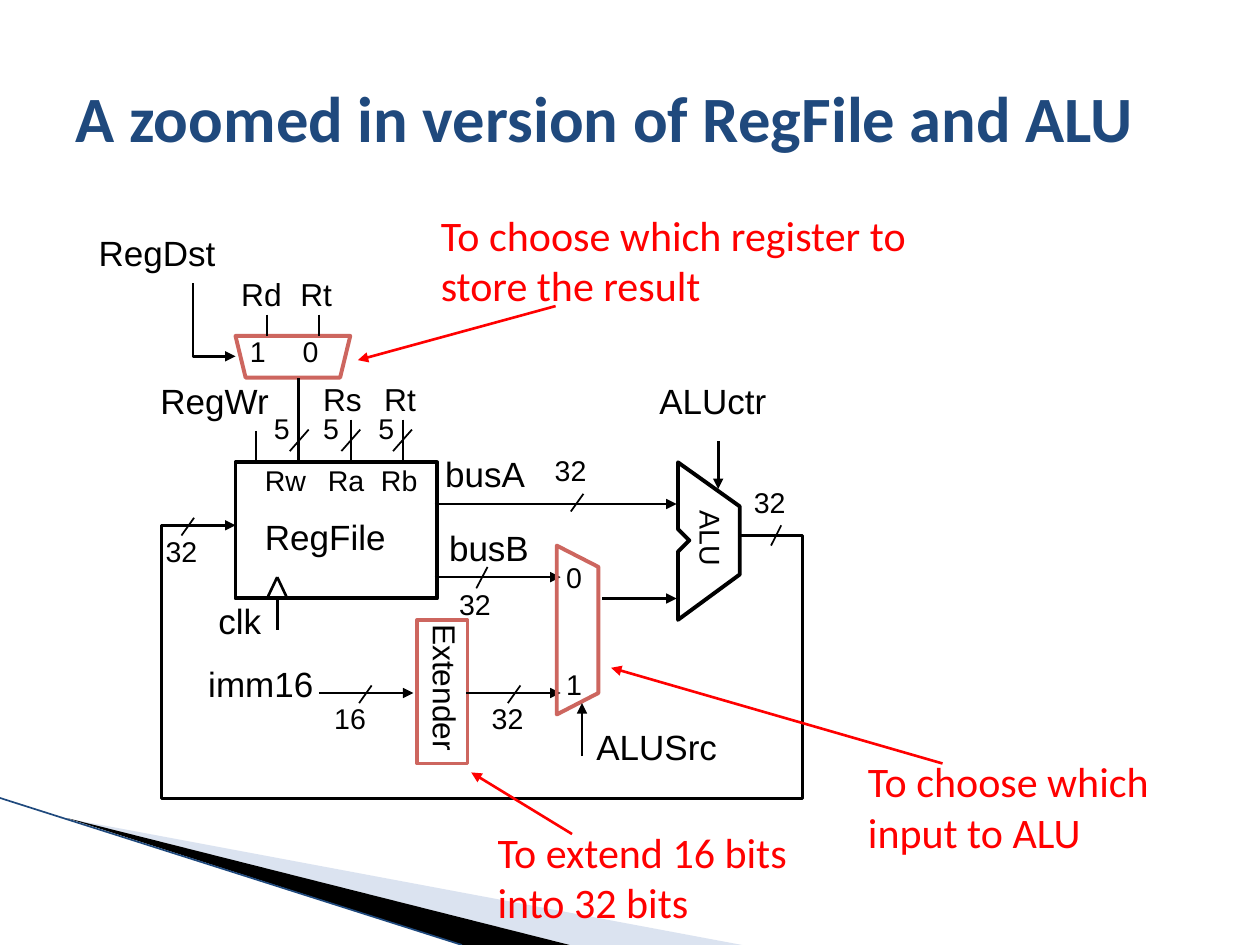
from lxml.etree import SubElement
from pptx import Presentation
from pptx.dml.color import RGBColor as RGB
from pptx.enum.shapes import MSO_CONNECTOR as Link, MSO_SHAPE as Kind
from pptx.enum.text import MSO_ANCHOR as Anchor, MSO_AUTO_SIZE as Fit, PP_ALIGN as Align
from pptx.oxml.ns import qn
from pptx.util import Pt

BLACK = RGB(0x00, 0x00, 0x00)
RED = RGB(0xFF, 0x00, 0x00)
ROSE = RGB(0xCD, 0x66, 0x5F)
NAVY = RGB(0x1F, 0x49, 0x7D)
PALE = RGB(0xA7, 0xB9, 0xDB)
BIG, MID, TINY = 20, 18.1, 16.3
TALL = {BIG: 28.1, MID: 25.9, TINY: 23.8}
THIN, WIRE, BOLD = 1, 1.5, 2.25
SLACK = 1


def add_head(line):
    SubElement(line._get_or_add_ln(), qn("a:tailEnd"), type="triangle")


def add_run(para, text, size, color, font):
    run = para.add_run()
    run.text = text
    run.font.size = Pt(size)
    run.font.name = font
    run.font.color.rgb = color
    return run


class Pad:
    def __init__(self, slide, box):
        self.shapes = slide.shapes
        self.x, self.y, self.w, self.h = box

    def place(self, x, y):
        return Pt(self.x + x), Pt(self.y + y)

    def label(self, text, x, y, wide, size=TINY, turn=0, align=Align.LEFT):
        spot = self.place(x - SLACK / 2, y)
        box = self.shapes.add_textbox(*spot, Pt(wide + SLACK), Pt(TALL[size]))
        box.rotation = turn
        frame = box.text_frame
        frame.word_wrap = False
        frame.auto_size = Fit.SHAPE_TO_FIT_TEXT
        frame.margin_left = frame.margin_right = Pt(2.9)
        frame.margin_top = frame.margin_bottom = Pt(2.9)
        para = frame.paragraphs[0]
        para.alignment = align
        para.line_spacing = 0.93
        add_run(para, text, size, BLACK, "Arial")

    def wire(self, start, end, width=WIRE, color=BLACK, head=False):
        link = self.shapes.add_connector(
            Link.STRAIGHT, *self.place(*start), *self.place(*end))
        link.line.color.rgb = color
        link.line.width = Pt(width)
        if head:
            add_head(link.line)
        SubElement(link._element.spPr, qn("a:effectLst"))

    def arrow(self, start, end, color=BLACK):
        self.wire(start, end, color=color, head=True)

    def ink(self, shape, color, width):
        shape.shadow.inherit = False
        shape.fill.background()
        shape.line.color.rgb = color
        shape.line.width = Pt(width)

    def trace(self, points, close):
        first, *rest = [self.place(*point) for point in points]
        pen = self.shapes.build_freeform(*first)
        pen.add_line_segments(rest, close=close)
        return pen.convert_to_shape()

    def outline(self, points, color=BLACK):
        self.ink(self.trace(points, True), color, BOLD)

    def route(self, points):
        shape = self.trace(points, False)
        self.ink(shape, BLACK, WIRE)
        add_head(shape.line)

    def patch(self, points, color):
        shape = self.trace(points, True)
        shape.shadow.inherit = False
        shape.fill.solid()
        shape.fill.fore_color.rgb = color
        shape.line.fill.background()
        return shape

    def frame(self, x, y, wide, tall, color, width):
        shape = self.shapes.add_shape(
            Kind.RECTANGLE, *self.place(x, y), Pt(wide), Pt(tall))
        self.ink(shape, color, width)


def add_swoosh(slide, box):
    pad = Pad(slide, box)
    low = pad.h
    light = pad.patch([(39.6, 12), (pad.w, low), (325.5, low)], PALE)
    tint = light._element.spPr.find(qn("a:solidFill"))[0]
    SubElement(tint, qn("a:alpha"), val="40000")
    pad.patch([(38.2, 11.5), (325.5, low), (264, low)], BLACK)
    pad.wire((0, 0), (264, low), 0.95, NAVY)


def add_title(slide, box):
    title = slide.shapes.title
    title.left, title.top, title.width, title.height = map(Pt, box)
    frame = title.text_frame
    frame.vertical_anchor = Anchor.MIDDLE
    frame.auto_size = Fit.NONE
    para = frame.paragraphs[0]
    para.alignment = Align.LEFT
    run = add_run(para, "A zoomed in version of RegFile and ALU", 36.9, NAVY, "Calibri")
    run.font.bold = True


def add_dest(slide, box):
    pad = Pad(slide, box)
    pad.label("RegDst", 0, 0, 72.7, BIG)
    pad.label("Rd", 81.4, 24.2, 28.8, MID)
    pad.label("Rt", 115.2, 24.2, 23.8, MID)
    pad.label("1", 86.4, 58.1, 14.4)
    pad.label("0", 116.6, 58.1, 14.4)
    pad.outline([(80.6, 60.2), (86.4, 84), (140.4, 84), (146.2, 60.2)], ROSE)
    for x in (98.6, 128.2):
        pad.wire((x, 48), (x, 60.2), THIN)
    pad.route([(56.2, 30), (56.2, 71.8), (80.6, 71.8)])


def add_file(slide, box):
    pad = Pad(slide, box)
    low = pad.h
    pad.frame(0, 0, pad.w, low, BLACK, BOLD)
    pad.label("RegWr", -45.3, -48.2, 67.7, BIG)
    pad.label("Rs", 47.6, -48.2, 28.1, MID)
    pad.label("Rt", 82.1, -48.2, 23.8, MID, align=Align.CENTER)
    pad.label("RegFile", 14.4, 29.6, 74.9, BIG)
    pad.label("clk", -12.2, low, 30.2, BIG)
    ports = [("Rw", 14.4, 29.5, 19.5, -48.2),
             ("Ra", 50.4, 26.6, 47.6, -24.4),
             ("Rb", 80.7, 26.6, 79.2, -24.4)]
    for i, (name, x, wide, five, top) in enumerate(ports):
        pad.label(name, x, -0.7, wide)
        pad.label("5", five, -30.2, 14.4)
        line, cut = 36 + 29.9 * i, 31 + 29.5 * i
        pad.wire((line, top), (line, 0))
        pad.wire((cut, -6.4), (cut + 10.8, -18.7), THIN)
    pad.wire((11.6, -18), (11.6, 0))
    for x in (18, 29.6):
        pad.wire((23.8, 65.6), (x, low))
    pad.wire((23.8, low), (23.8, 95.8))


def add_buses(slide, box):
    pad = Pad(slide, box)
    pad.label("busA", 3.6, -30.2, 51.8, BIG)
    pad.label("32", 66.2, -30.2, 23.8)
    pad.wire((85, -5.8), (77.8, 4.3), THIN)
    pad.arrow((0, 0), (pad.w, 0))
    pad.label("busB", 5.8, 12.2, 51.8, BIG)
    pad.label("32", 11.5, 46.1, 23.8)
    pad.wire((23.8, 48.2), (30.2, 36), THIN)
    pad.arrow((0, pad.h), (72, pad.h))


def add_extend(slide, box):
    pad = Pad(slide, box)
    pad.label("imm16", 0, 23.8, 66.2, BIG)
    pad.frame(121.7, 0, 28.8, pad.h, ROSE, 2)
    pad.label("Extender", 97.2, 26.7, 79.2, MID, turn=90)
    for bits, x, cut, start, end in [("16", 72, 95.8, 65.6, 119.6),
                                     ("32", 162, 180.8, 149.8, pad.w)]:
        pad.label(bits, x, 45.4, 23.8)
        pad.wire((cut, 37.5), (cut - 7.2, 47.6), THIN)
        pad.arrow((start, 41.8), (end, 41.8))


def add_source(slide, box):
    pad = Pad(slide, box)
    pad.label("0", 2.9, 7.2, 14.4)
    pad.label("1", 2.9, 68.4, 14.4)
    pad.outline([(0, 0), (0, pad.h), (pad.w, 84.2), (pad.w, 12.2)], ROSE)
    pad.label("ALUSrc", 20.2, 102.2, 74.9, BIG)
    pad.arrow((14.4, 120.2), (14.4, 90))
    pad.arrow((26, 30.2), (68.4, 30.2))


def add_alu(slide, box):
    pad = Pad(slide, box)
    pad.label("ALU", -0.8, 31.7, 37.4, turn=90)
    pad.outline([(0, 0), (0, 38.2), (6.5, 44.6), (0, 51.1), (0, pad.h),
                 (pad.w, 64.1), (pad.w, 25.2)])
    pad.label("ALUctr", -13, -48.2, 82.8, BIG)
    pad.arrow((23, -12.2), (23, 15.2))
    pad.label("32", 41, 11.6, 23.8)
    pad.wire((59, 36), (53.2, 47.6), THIN)


def add_loop(slide, box):
    pad = Pad(slide, box)
    pad.route([(330.4, 5.8), (pad.w, 5.8), (pad.w, pad.h), (0, pad.h), (0, 0), (42.4, 0)])
    pad.label("32", 0, 3.6, 23.8)
    pad.wire((18.7, -4.3), (11.5, 5.8), THIN)


def add_note(slide, box, text, start, end, level=0):
    pad = Pad(slide, box)
    note = pad.shapes.add_textbox(*pad.place(0, 0), Pt(pad.w), Pt(pad.h))
    frame = note.text_frame
    frame.word_wrap = True
    frame.auto_size = Fit.SHAPE_TO_FIT_TEXT
    para = frame.paragraphs[0]
    para.level = level
    para._p.get_or_add_pPr().set("marL", str(Pt(36 * level)))
    add_run(para, text, 24, RED, "Calibri")
    pad.arrow(start, end, RED)


def main():
    deck = Presentation()
    deck.slide_width, deck.slide_height = Pt(720), Pt(540)
    slide = deck.slides.add_slide(deck.slide_layouts[5])
    add_swoosh(slide, (0, 456, 424, 84))
    add_title(slide, (36, 21.6, 648, 90))
    add_dest(slide, (54, 131.8, 146.2, 84))
    add_file(slide, (134.6, 264.2, 115.2, 77.8))
    add_buses(slide, (248.4, 288, 138.2, 41.8))
    add_extend(slide, (116.6, 354.2, 203.8, 82.1))
    add_source(slide, (318.2, 311.8, 23.8, 96.5))
    add_alu(slide, (387.4, 264.2, 35.3, 90))
    add_loop(slide, (92.2, 300.2, 366.5, 156.2))
    add_note(slide, (208.8, 115.9, 360, 65.5), "To choose which register to store the result",
             (108.7, 59), (-4.3, 89.9), level=1)
    add_note(slide, (488.9, 428.4, 219.6, 65.5), "To choose which input to ALU",
             (49.7, 7.9), (-139.7, -46.8))
    add_note(slide, (277.2, 468.7, 219.6, 65.5), "To extend 16 bits into 32 bits",
             (49.7, 7.9), (-7.9, -27.3))
    deck.save("out.pptx")


if __name__ == "__main__":
    main()
